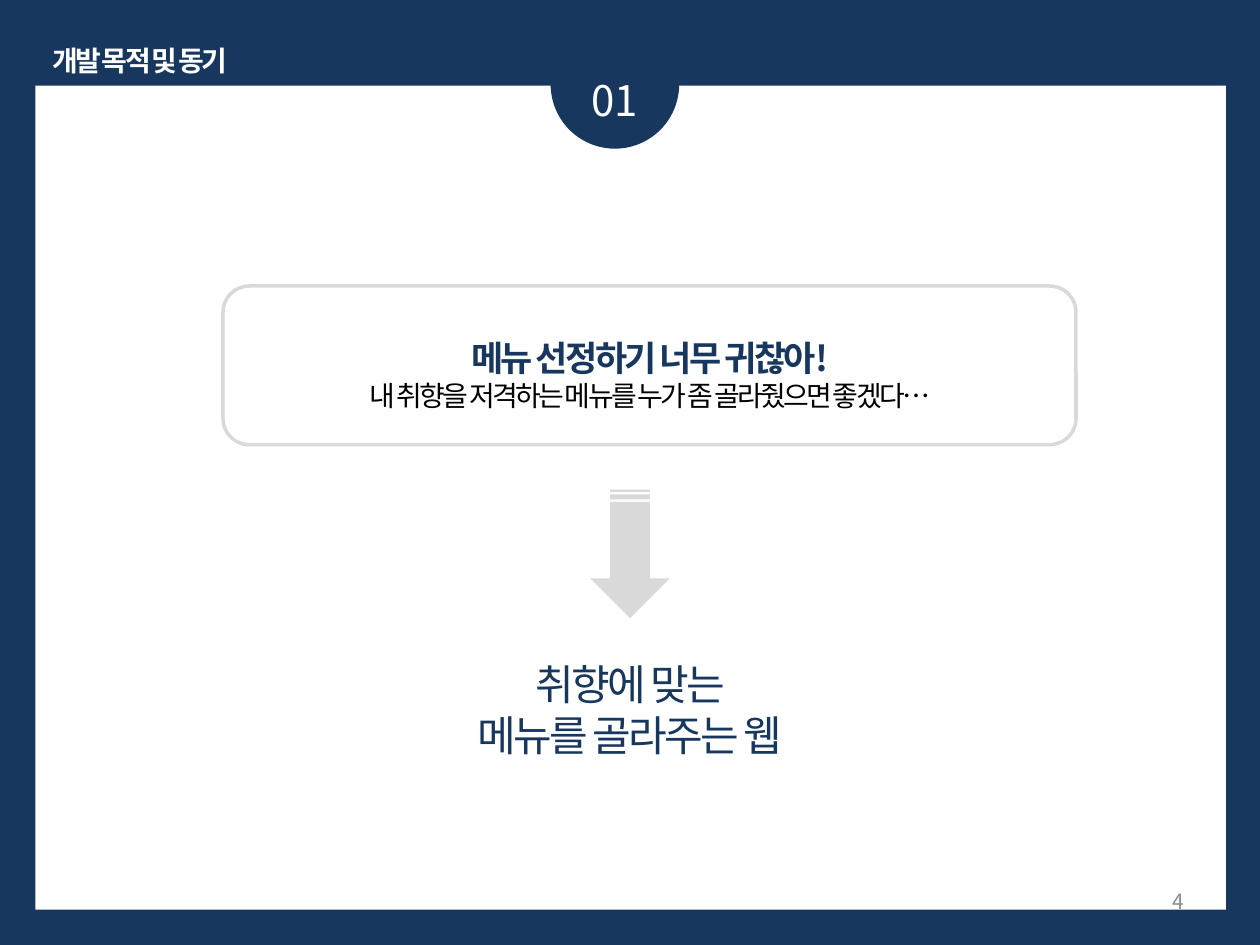
"""Builds the slide on the purpose and motive of a menu-picking web app."""
from lxml.etree import SubElement
from pptx import Presentation
from pptx.dml.color import RGBColor
from pptx.enum.shapes import MSO_SHAPE
from pptx.enum.text import MSO_ANCHOR, PP_ALIGN
from pptx.oxml.ns import qn
from pptx.util import Inches, Pt

WIDE, HIGH = 10, 7.5
FONT = "Noto Sans CJK KR"
HEX = {"navy": "17375E", "white": "FFFFFF", "pale": "D9D9D9",
       "grey": "8C8C8C", "black": "000000"}
MID, RIGHT = PP_ALIGN.CENTER, PP_ALIGN.RIGHT

# Places are left, top, width and height in percent of the slide.
SHAPES = [
    {"kind": MSO_SHAPE.RECTANGLE, "place": (2.8, 9.07, 94.5, 87.2), "fill": "white"},
    {"kind": MSO_SHAPE.OVAL, "place": (43.7, 2.13, 10.2, 13.6), "fill": "navy"},
    {"kind": MSO_SHAPE.STRIPED_RIGHT_ARROW, "place": (44.9, 54.4, 10.2, 8.4),
     "fill": "pale", "turn": 90},
    {"kind": MSO_SHAPE.ROUNDED_RECTANGLE, "place": (17.7, 30.27, 67.7, 16.8),
     "line": "pale"},
]
TEXTS = [
    {"place": (2.1, 4, 18, 4.93), "wrap": False,
     "lines": [("개발 목적 및 동기", 16, "white", True, -1.5)]},
    {"place": (42.9, 7.2, 11.8, 6.67),
     "lines": [("01", 24, "white", False, 0)]},
    {"place": (71.7, 92.67, 23.3, 5.33), "align": RIGHT, "anchor": MSO_ANCHOR.MIDDLE,
     "lines": [("4", 12, "grey", False, 0)]},
    {"place": (20.1, 30.53, 63, 17.47), "lead": 2,
     "lines": [("메뉴 선정하기 너무 귀찮아!", 20, "navy", True, -1.5),
               ("내 취향을 저격하는 메뉴를 누가 좀 골라줬으면 좋겠다…",
                16, "black", False, -1.5)]},
    {"place": (26.4, 69.07, 47.2, 12.13),
     "lines": [("취향에 맞는", 24, "navy", False, -1.5),
               ("메뉴를 골라주는 웹", 24, "navy", False, -1.5)]},
]


def tint(name):
    return RGBColor.from_string(HEX[name])


def frame(place):
    return [Inches(part * side / 100)
            for part, side in zip(place, (WIDE, HIGH, WIDE, HIGH))]


def draw(slide, kind, place, fill=None, line=None, turn=0):
    shape = slide.shapes.add_shape(kind, *frame(place))
    shape.shadow.inherit = False
    shape.rotation = turn
    if fill:
        shape.fill.solid()
        shape.fill.fore_color.rgb = tint(fill)
    else:
        shape.fill.background()
    if line:
        shape.line.color.rgb = tint(line)
        shape.line.width = Pt(2)
    else:
        shape.line.fill.background()


def style(run, size, color, bold, gap):
    font = run.font
    font.name, font.size, font.bold = FONT, Pt(size), bold
    font.color.rgb = tint(color)
    props = run._r.get_or_add_rPr()
    SubElement(props, qn("a:ea")).set("typeface", FONT)
    if gap:
        props.set("spc", str(int(gap * 100)))


def write(slide, place, lines, align=MID, anchor=MSO_ANCHOR.TOP, wrap=True, lead=None):
    box = slide.shapes.add_textbox(*frame(place)).text_frame
    box.word_wrap = wrap
    box.vertical_anchor = anchor
    box.text = "\n".join(line[0] for line in lines)
    box.paragraphs[0].line_spacing = lead
    for para, line in zip(box.paragraphs, lines):
        para.alignment = align
        style(para.runs[0], *line[1:])


def main():
    deck = Presentation()
    deck.slide_width, deck.slide_height = Inches(WIDE), Inches(HIGH)
    slide = deck.slides.add_slide(deck.slide_layouts[6])
    slide.background.fill.solid()
    slide.background.fill.fore_color.rgb = tint("navy")
    for item in SHAPES:
        draw(slide, **item)
    for item in TEXTS:
        write(slide, **item)
    deck.save("out.pptx")


if __name__ == "__main__":
    main()
